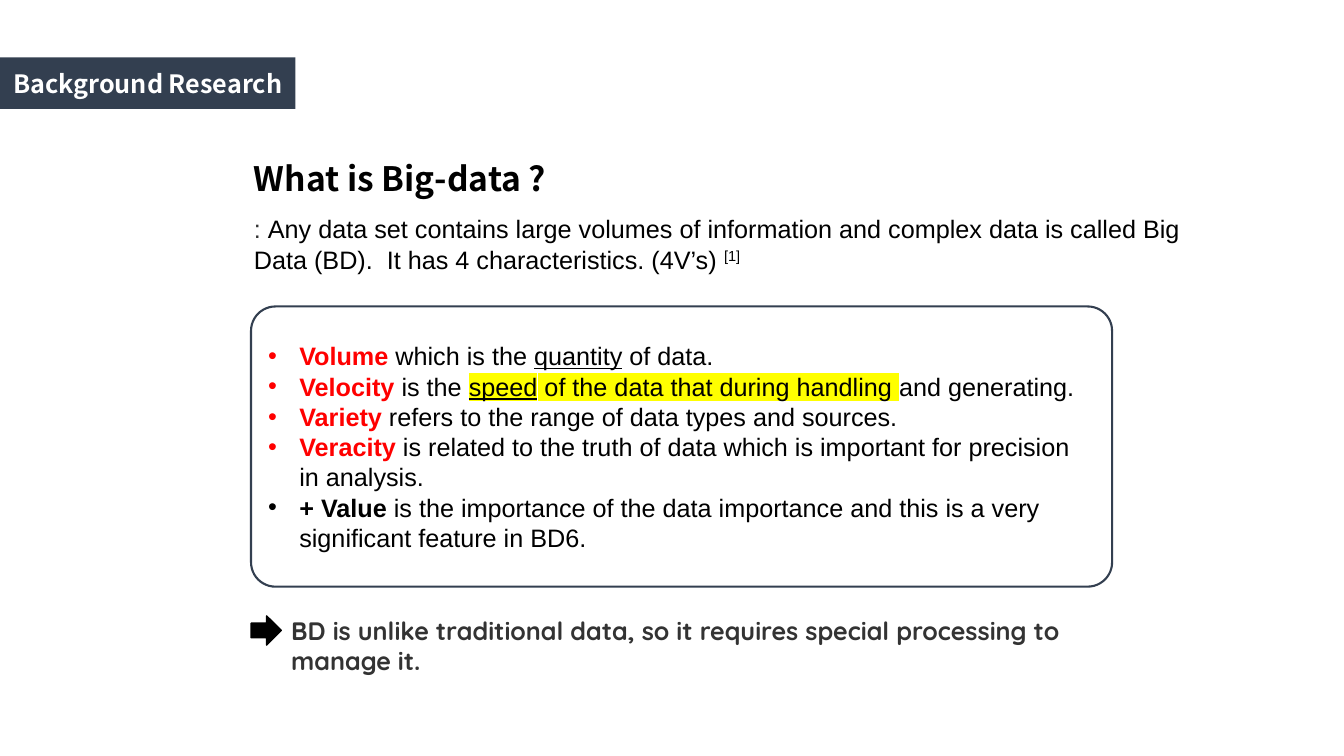
from lxml.etree import SubElement, Element
from pptx import Presentation
from pptx.dml.color import RGBColor
from pptx.enum.shapes import MSO_SHAPE
from pptx.enum.text import MSO_ANCHOR, PP_ALIGN
from pptx.oxml.ns import qn
from pptx.util import Inches, Pt

COLORS = {
    "navy": "333F50",
    "white": "FFFFFF",
    "black": "000000",
    "gray": "333333",
    "red": "FF0000",
    "yellow": "FFFF00",
}
HEADING_FONT = "Noto Sans CJK KR"
BODY = {"name": "Arial", "size": Pt(18)}
BULLET_INDENT = Inches(0.31)

CHARACTERISTICS = [
    ("Volume", "red", [
        (" which is the ", {}),
        ("quantity", {"underline": True}),
        (" of data.", {}),
    ]),
    ("Velocity", "red", [
        (" is the ", {}),
        ("speed", {"underline": True, "highlight": "yellow"}),
        (" of the data that during handling ", {"highlight": "yellow"}),
        ("and generating.", {}),
    ]),
    ("Variety", "red", [
        (" refers to the range of data types and sources.", {}),
    ]),
    ("Veracity", "red", [
        (" is related to the truth of data which is important for precision in analysis.", {}),
    ]),
    ("+ Value", "black", [
        (" is the importance of the data importance and this is a very significant feature in BD6.", {}),
    ]),
]


def color(name):
    return RGBColor.from_string(COLORS[name])


def add_run(paragraph, text, color_name, highlight=None, baseline=None, **font_format):
    run = paragraph.add_run()
    run.text = text
    for attribute, value in font_format.items():
        setattr(run.font, attribute, value)
    run.font.color.rgb = color(color_name)
    properties = run.font._element
    if baseline:
        properties.set("baseline", str(baseline * 1000))
    if highlight:
        mark = Element(qn("a:highlight"))
        SubElement(mark, qn("a:srgbClr"), val=COLORS[highlight])
        properties.find(qn("a:solidFill")).addnext(mark)


def add_text(slide, box):
    frame = slide.shapes.add_textbox(*map(Inches, box)).text_frame
    frame.word_wrap = True
    return frame.paragraphs[0]


def add_panel(slide, box, kind, fill, line=None, width=1):
    shape = slide.shapes.add_shape(kind, *map(Inches, box))
    shape.shadow.inherit = False
    shape.fill.solid()
    shape.fill.fore_color.rgb = color(fill)
    if line:
        shape.line.color.rgb = color(line)
        shape.line.width = Pt(width)
    else:
        shape.line.fill.background()
    shape.text_frame.word_wrap = True
    shape.text_frame.vertical_anchor = MSO_ANCHOR.MIDDLE
    return shape


def add_bullet(paragraph):
    paragraph.alignment = PP_ALIGN.LEFT
    properties = paragraph._p.get_or_add_pPr()
    properties.set("marL", str(BULLET_INDENT))
    properties.set("indent", str(-BULLET_INDENT))
    SubElement(properties, qn("a:buFont"), typeface="Arial")
    SubElement(properties, qn("a:buChar"), char="•")


def add_section_label(slide, box):
    label = add_panel(slide, box, MSO_SHAPE.RECTANGLE, "navy")
    paragraph = label.text_frame.paragraphs[0]
    paragraph.alignment = PP_ALIGN.CENTER
    add_run(paragraph, "Background Research", "white", name=HEADING_FONT, size=Pt(18), bold=True)


def add_definition(slide, box):
    left, top, width, height = box
    heading = add_text(slide, (left, top, 6.2, 0.5))
    add_run(heading, "What is Big-data ?", "black", name=HEADING_FONT, size=Pt(24), bold=True)
    definition = add_text(slide, (left, top + 0.55, width, height - 0.55))
    add_run(definition, ": ", "gray", **BODY)
    add_run(
        definition,
        "Any data set contains large volumes of information and complex data is called Big "
        "Data (BD).  It has 4 characteristics. (4V’s) ",
        "black", **BODY,
    )
    add_run(definition, "[1]", "black", baseline=30, **BODY)


def add_characteristics(slide, box):
    panel = add_panel(slide, box, MSO_SHAPE.ROUNDED_RECTANGLE, "white", "navy", 1.5)
    panel.adjustments[0] = 0.087
    frame = panel.text_frame
    for index, (term, term_color, description) in enumerate(CHARACTERISTICS):
        paragraph = frame.add_paragraph() if index else frame.paragraphs[0]
        add_bullet(paragraph)
        add_run(paragraph, term, term_color, bold=True, **BODY)
        for text, emphasis in description:
            add_run(paragraph, text, "black", **BODY, **emphasis)


def add_conclusion(slide, box):
    left, top, width, height = box
    add_panel(slide, (left, top + 0.06, 0.3, 0.29), MSO_SHAPE.RIGHT_ARROW, "black", "black")
    conclusion = add_text(slide, (left + 0.3, top, width - 0.3, height))
    add_run(
        conclusion,
        "BD is unlike traditional data, so it requires special processing to manage it.",
        "gray", name="Quicksand", size=Pt(18), bold=True,
    )


def main():
    presentation = Presentation()
    presentation.slide_width = Inches(13.33)
    presentation.slide_height = Inches(7.5)
    slide = presentation.slides.add_slide(presentation.slide_layouts[6])
    add_section_label(slide, (0, 0.57, 2.93, 0.51))
    add_definition(slide, (2.42, 1.52, 9.47, 1.26))
    add_characteristics(slide, (2.49, 3.04, 8.54, 2.78))
    add_conclusion(slide, (2.49, 6.05, 8.27, 0.71))
    presentation.save("out.pptx")


if __name__ == "__main__":
    main()
